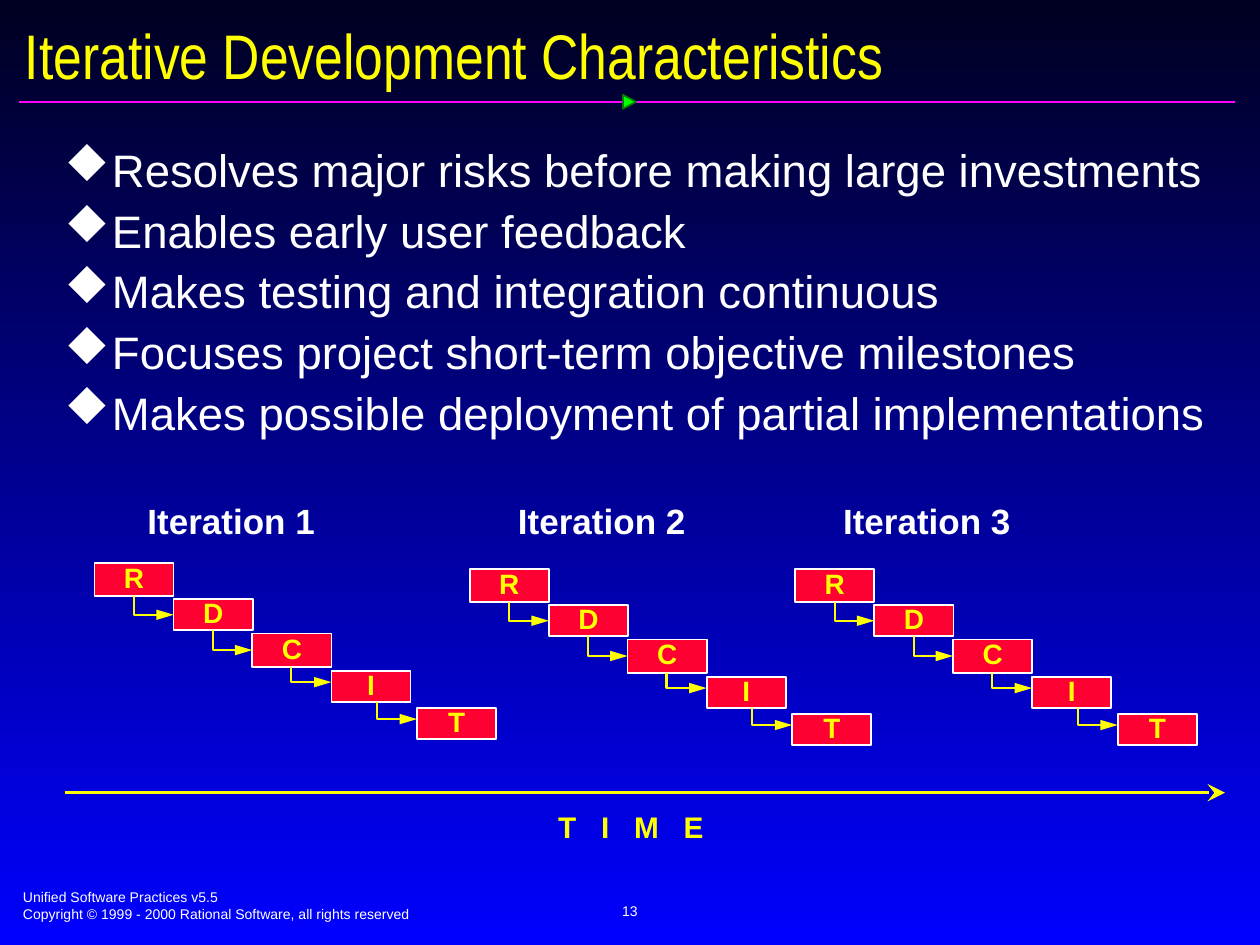
from dataclasses import dataclass
from typing import Any

import lxml.etree
import pptx
import pptx.dml.color
import pptx.enum.shapes
import pptx.enum.text
import pptx.oxml.ns
import pptx.util

Pt = pptx.util.Pt
SHAPE = pptx.enum.shapes.MSO_SHAPE
CONNECTOR = pptx.enum.shapes.MSO_CONNECTOR
ALIGN = pptx.enum.text.PP_ALIGN
ANCHOR = pptx.enum.text.MSO_ANCHOR

COLORS = {
    "night": "000021",
    "blue": "0000FF",
    "white": "FFFFFF",
    "yellow": "FFFF00",
    "red": "FF0033",
    "magenta": "FF01FF",
    "green": "00FF00",
    "dark green": "037C03",
}
STEP_WIDTH = 45.2
DIAMOND = "u"  # the diamond's position in the Wingdings symbol font
LONG_HEAD = {"type": "triangle", "len": "lg"}
LARGE_HEAD = {"type": "stealth", "w": "lg", "len": "lg"}


@dataclass
class TextStyle:
    size: float
    color: str = "white"
    bold: bool = False
    font: str = "Arial"
    align: Any = ALIGN.LEFT
    line_spacing: float = 1.0
    space_before: float = 0
    bullet: str = ""
    indent: float = 0


@dataclass
class Step:
    """A box placed from its iteration's corner; outlet and inlet are where arrows meet it."""
    letter: str
    left: float
    top: float
    height: float
    inlet: float = 0
    outlet: float = 22.5


@dataclass
class Iteration:
    label: str
    label_left: float
    left: float
    top: float


FOOTER = TextStyle(8)
PAGE_NUMBER = TextStyle(8, align=ALIGN.CENTER)
TITLE = TextStyle(36, "yellow", font="Arial Narrow")
BODY = TextStyle(26, line_spacing=0.8, space_before=9.8, bullet=DIAMOND, indent=27)
TIME = TextStyle(17, "yellow", bold=True, line_spacing=0.9)
LABEL = TextStyle(20, bold=True, align=ALIGN.CENTER)
LETTER = TextStyle(16, "yellow", bold=True, align=ALIGN.CENTER, line_spacing=0.87)

BENEFITS = [
    "Resolves major risks before making large investments",
    "Enables early user feedback",
    "Makes testing and integration continuous",
    "Focuses project short-term objective milestones",
    "Makes possible deployment of partial implementations",
]
STEPS = [
    Step("R", 0, 0, 18.7),
    Step("D", 45.2, 20.6, 17.7, inlet=8.9),
    Step("C", 90.2, 40.3, 19, inlet=9.4, outlet=22.3),
    Step("I", 135.4, 61.5, 18, inlet=6.5, outlet=26),
    Step("T", 184.3, 82.7, 18, inlet=6.4),
]
ITERATIONS = [
    Iteration("Iteration 1 ", 77, 54, 321.8),
    Iteration("Iteration 2 ", 288.7, 268.4, 325.2),
    Iteration("Iteration 3 ", 474.5, 454.4, 325.2),
]


def rgb(name: str) -> pptx.dml.color.RGBColor:
    return pptx.dml.color.RGBColor.from_string(COLORS[name])


def add_child(parent: Any, tag: str, **attributes: str) -> Any:
    element = lxml.etree.SubElement(parent, pptx.oxml.ns.qn(tag))
    for name, value in attributes.items():
        element.set(name, value)
    return element


def add_bullet(paragraph: Any, style: TextStyle) -> None:
    properties = paragraph._p.get_or_add_pPr()
    properties.set("marL", str(Pt(style.indent)))
    properties.set("indent", str(-Pt(style.indent)))
    bullet_color = add_child(properties, "a:buClr")
    add_child(bullet_color, "a:srgbClr", val=COLORS[style.color])
    add_child(properties, "a:buFont", typeface="Wingdings", charset="2")
    add_child(properties, "a:buChar", char=style.bullet)


def write(frame: Any, lines: list[str], style: TextStyle, inset: tuple[float, float] = (7.2, 3.6),
          wrap: bool = True, anchor: Any = ANCHOR.TOP) -> None:
    frame.word_wrap = wrap
    frame.auto_size = pptx.enum.text.MSO_AUTO_SIZE.NONE
    frame.vertical_anchor = anchor
    frame.margin_left = frame.margin_right = Pt(inset[0])
    frame.margin_top = frame.margin_bottom = Pt(inset[1])
    for index, line in enumerate(lines):
        paragraph = frame.add_paragraph() if index else frame.paragraphs[0]
        if style.bullet:
            add_bullet(paragraph, style)
        paragraph.alignment = style.align
        paragraph.line_spacing = style.line_spacing
        paragraph.space_before = Pt(style.space_before if index else 0)
        run = paragraph.add_run()
        run.text = line
        run.font.name = style.font
        run.font.size = Pt(style.size)
        run.font.bold = style.bold
        run.font.color.rgb = rgb(style.color)


def add_text(slide: Any, left: float, top: float, width: float, height: float,
             lines: list[str], style: TextStyle, **options: Any) -> None:
    box = slide.shapes.add_textbox(Pt(left), Pt(top), Pt(width), Pt(height))
    write(box.text_frame, lines, style, **options)


def add_filled(shapes: Any, kind: Any, left: float, top: float, width: float, height: float,
               fill: str, line: str) -> Any:
    shape = shapes.add_shape(kind, Pt(left), Pt(top), Pt(width), Pt(height))
    shape.shadow.inherit = False
    shape.fill.solid()
    shape.fill.fore_color.rgb = rgb(fill)
    shape.line.color.rgb = rgb(line)
    shape.line.width = Pt(1)
    return shape


def add_line(shapes: Any, start: tuple[float, float], end: tuple[float, float], color: str,
             width: float, head: dict[str, str] | None = None,
             kind: Any = CONNECTOR.STRAIGHT) -> Any:
    connector = shapes.add_connector(kind, *(Pt(value) for value in (*start, *end)))
    connector.line.color.rgb = rgb(color)
    connector.line.width = Pt(width)
    if head:
        add_child(connector.line._get_or_add_ln(), "a:tailEnd", **head)
    add_child(connector._element.spPr, "a:effectLst")
    return connector


def add_elbow(shapes: Any, start: tuple[float, float], end: tuple[float, float]) -> None:
    """Draw an arrow that goes down, then right: a one-bend connector, mirrored and turned."""
    middle_x, middle_y = (start[0] + end[0]) / 2, (start[1] + end[1]) / 2
    half_run, half_drop = (end[0] - start[0]) / 2, (end[1] - start[1]) / 2
    connector = add_line(shapes, (middle_x + half_drop, middle_y - half_run),
                         (middle_x - half_drop, middle_y + half_run),
                         "yellow", 1.25, LONG_HEAD, CONNECTOR.ELBOW)
    properties = connector._element.spPr
    properties.find(pptx.oxml.ns.qn("a:prstGeom")).set("prst", "bentConnector2")
    properties.find(pptx.oxml.ns.qn("a:xfrm")).set("rot", str(270 * 60000))


def add_iteration(slide: Any, iteration: Iteration) -> None:
    add_text(slide, iteration.label_left, 281.8, 115.9, 31.7, [iteration.label], LABEL, wrap=False)
    shapes = slide.shapes.add_group_shape().shapes
    for step in STEPS:
        box = add_filled(shapes, SHAPE.RECTANGLE, iteration.left + step.left,
                         iteration.top + step.top, STEP_WIDTH, step.height, "red", "white")
        write(box.text_frame, [step.letter], LETTER, inset=(6.5, 2.9), wrap=False,
              anchor=ANCHOR.MIDDLE)
    for step, following in zip(STEPS, STEPS[1:]):
        add_elbow(shapes,
                  (iteration.left + step.left + step.outlet,
                   iteration.top + step.top + step.height),
                  (iteration.left + following.left, iteration.top + following.top + following.inlet))


def main() -> None:
    presentation = pptx.Presentation()
    presentation.slide_width, presentation.slide_height = Pt(720), Pt(540)
    slide = presentation.slides.add_slide(presentation.slide_layouts.get_by_name("Title Only"))

    background = slide.background.fill
    background.gradient()
    background.gradient_angle = 270
    for stop, color in zip(background.gradient_stops, ("night", "blue")):
        stop.color.rgb = rgb(color)

    title = slide.shapes.title
    title.left, title.top, title.width, title.height = Pt(7), Pt(10), Pt(708.5), Pt(41.8)
    write(title.text_frame, ["Iterative Development Characteristics"], TITLE, anchor=ANCHOR.MIDDLE)
    add_line(slide.shapes, (10.6, 58.2), (706, 58.2), "magenta", 1)
    marker = add_filled(slide.shapes, SHAPE.ISOSCELES_TRIANGLE, 355.7, 54.5, 8, 7.4,
                        "green", "dark green")
    marker.rotation = 90

    add_text(slide, 28.4, 82.8, 679.7, 175, BENEFITS, BODY, inset=(8.6, 4.3))
    for iteration in ITERATIONS:
        add_iteration(slide, iteration)
    add_line(slide.shapes, (36.9, 453), (700, 453), "yellow", 2, LARGE_HEAD)
    add_text(slide, 312.5, 461.5, 95.8, 24.5, ["T   I   M   E"], TIME, inset=(6.5, 2.9), wrap=False)

    add_text(slide, 6, 504.2, 367, 26.6, [
        "Unified Software Practices v5.5",
        "Copyright © 1999 - 2000 Rational Software, all rights reserved",
    ], FOOTER)
    add_text(slide, 246, 502.6, 228, 36, ["13"], PAGE_NUMBER, wrap=False, anchor=ANCHOR.MIDDLE)
    presentation.save("out.pptx")


if __name__ == "__main__":
    main()
